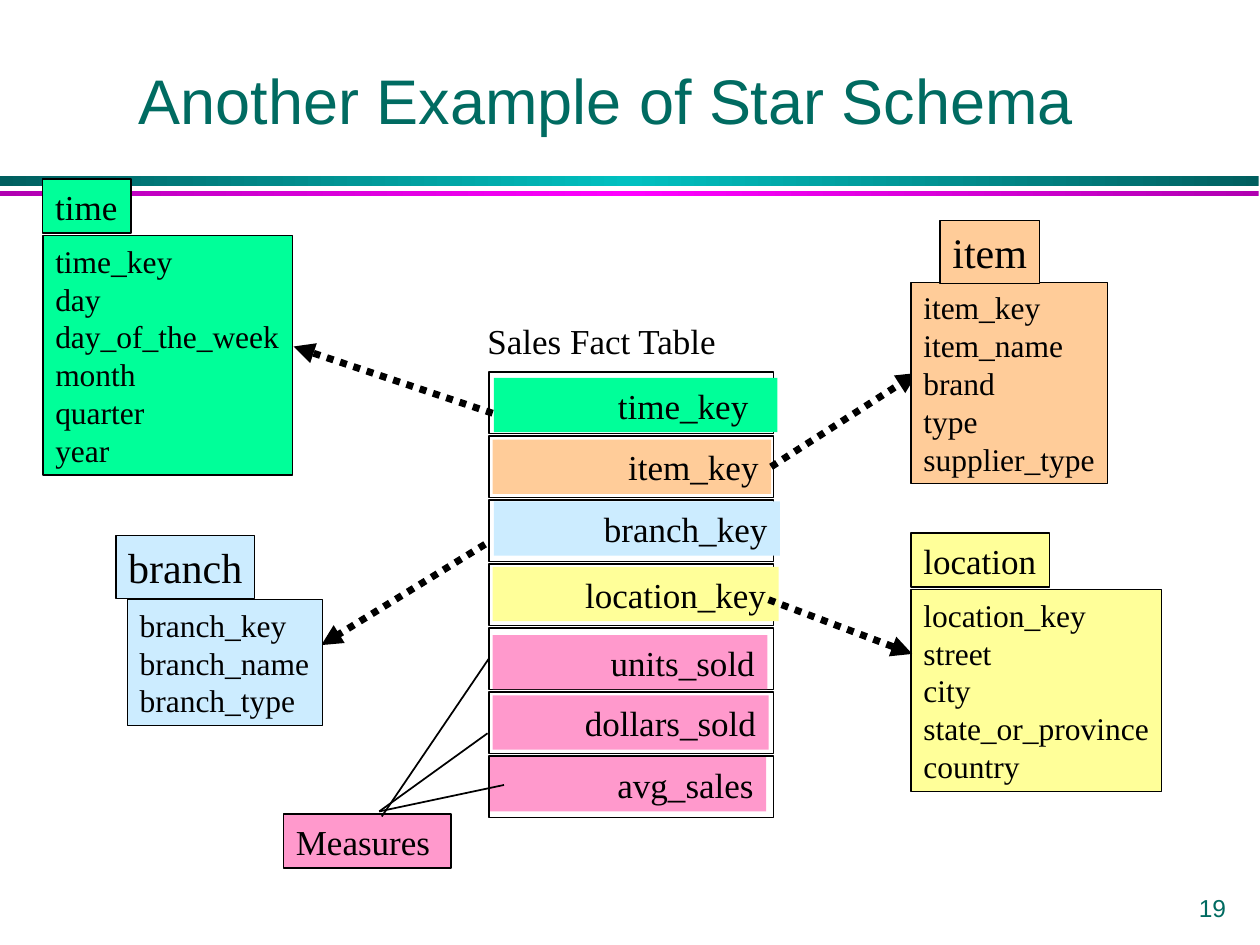
"""Build a star schema slide: a sales fact table linked to four dimension tables."""
from copy import deepcopy
from dataclasses import dataclass

from pptx import Presentation
from pptx.dml.color import RGBColor
from pptx.enum.dml import MSO_LINE
from pptx.enum.shapes import MSO_CONNECTOR, MSO_SHAPE
from pptx.enum.text import MSO_ANCHOR, PP_ALIGN
from pptx.oxml.ns import qn
from pptx.oxml.xmlchemy import OxmlElement
from pptx.util import Inches, Pt

LEFT, CENTER, RIGHT = PP_ALIGN.LEFT, PP_ALIGN.CENTER, PP_ALIGN.RIGHT
TOP, MIDDLE, BOTTOM = MSO_ANCHOR.TOP, MSO_ANCHOR.MIDDLE, MSO_ANCHOR.BOTTOM
RECTANGLE, STRAIGHT = MSO_SHAPE.RECTANGLE, MSO_CONNECTOR.STRAIGHT
DOTTED = MSO_LINE.ROUND_DOT
LEFT_SIDE, RIGHT_SIDE = 1, 3


@dataclass(frozen=True)
class Theme:
    heading_font: str = "Arial"
    body_font: str = "Times New Roman"
    heading: str = "006B61"
    ink: str = "000000"
    time: str = "00FF99"
    item: str = "FFCC99"
    branch: str = "CCECFF"
    location: str = "FFFF99"
    measure: str = "FF99CC"
    teal: tuple = ("005F5F", "00C0C0", "005F5F")
    magenta: tuple = ("B100B1", "FF00FF", "B100B1")
    title_size: int = 36
    large_size: int = 24
    label_size: int = 20
    field_size: int = 18
    number_size: int = 14
    thin: float = 0.75
    rule: float = 1
    link: float = 4


THEME = Theme()
BANDS = [(1.4, 0.08, THEME.teal), (1.52, 0.04, THEME.magenta)]

BACK_DIMENSIONS = [
    ("time", THEME.time, THEME.label_size, LEFT, (0.34, 1.42, 0.7, 0.43), (0.34, 1.87, 1.98, 1.9),
     ["time_key", "day", "day_of_the_week", "month", "quarter", "year"]),
    ("location", THEME.location, THEME.label_size, LEFT, (7.23, 4.23, 1.1, 0.43), (7.23, 4.68, 1.99, 1.6),
     ["location_key", "street", "city", "state_or_province", "country"]),
]
FRONT_DIMENSIONS = [
    ("item", THEME.item, THEME.large_size, CENTER, (7.46, 1.75, 0.79, 0.5), (7.23, 2.24, 1.56, 1.6),
     ["item_key", "item_name", "brand", "type", "supplier_type"]),
    ("branch", THEME.branch, THEME.large_size, CENTER, (0.92, 4.25, 1.1, 0.5), (1.01, 4.76, 1.55, 1),
     ["branch_key", "branch_name", "branch_type"]),
]

FACT_LEFT, FACT_TOP, FACT_WIDTH, ROW_HEIGHT, ROW_PITCH = 3.88, 2.95, 2.26, 0.49, 0.508
BAR_HEIGHT = 0.43
FACT_ROWS = [
    ("time_key", THEME.time, (3.92, 3, 2.25), 0.23),
    ("item_key", THEME.item, (3.91, 3.49, 2.21), 0.1),
    ("branch_key", THEME.branch, (3.92, 3.98, 2.27), 0.1),
    ("location_key", THEME.location, (3.91, 4.5, 2.27), 0.1),
    ("units_sold", THEME.measure, (3.91, 5.04, 2.18), 0.1),
    ("dollars_sold", THEME.measure, (3.91, 5.52, 2.19), 0.1),
    ("avg_sales", THEME.measure, (3.89, 6.01, 2.19), 0.1),
]

MEASURE_LINES = [
    ((3.03, 6.48), (3.87, 5.23), "units_sold"),
    ((3.01, 6.44), (3.87, 5.82), None),
    ((3.01, 6.44), (4, 6.23), None),
]
KEY_LINKS = [
    ((3.85, 4.32), (2.55, 5.12), None),
    ((3.91, 3.28), (2.33, 2.75), None),
    ((6.1, 4.76), (7.24, 5.19), None),
    ((6.1, 3.7), (7.28, 2.96), "item_key"),
]


def rgb(color):
    return RGBColor.from_string(color)


def write(box, lines, size, color=THEME.ink, font=THEME.body_font, align=LEFT,
          anchor=TOP, wrap=False, right_inset=0.1):
    frame = box.text_frame
    frame.word_wrap = wrap
    frame.vertical_anchor = anchor
    frame.margin_right = Inches(right_inset)
    for index, line in enumerate(lines):
        para = frame.add_paragraph() if index else frame.paragraphs[0]
        para.alignment = align
        span = para.add_run()
        span.text = line
        span.font.size = Pt(size)
        span.font.name = font
        span.font.color.rgb = rgb(color)


def add_box(page, area, fill=None, line_width=None):
    box = page.shapes.add_shape(RECTANGLE, *map(Inches, area))
    box.shadow.inherit = False
    if fill:
        box.fill.solid()
        box.fill.fore_color.rgb = rgb(fill)
    else:
        box.fill.background()
    if line_width:
        box.line.color.rgb = rgb(THEME.ink)
        box.line.width = Pt(line_width)
    else:
        box.line.fill.background()
    return box


def add_text(page, area, text, size, **style):
    write(page.shapes.add_textbox(*map(Inches, area)), [text], size, **style)


def add_band(page, top, height, colors):
    band = add_box(page, (0, top, 9.99, height))
    band.fill.gradient()
    band.fill.gradient_angle = 0
    stop_list = band.element.spPr.find(".//" + qn("a:gsLst"))
    stop_list.append(deepcopy(stop_list[-1]))
    for index, (stop, color) in enumerate(zip(band.fill.gradient_stops, colors)):
        stop.position = index / 2
        stop.color.rgb = rgb(color)


def add_dimension(page, name, color, size, align, header_area, field_area, fields):
    write(add_box(page, field_area, color, THEME.thin), fields, THEME.field_size)
    write(add_box(page, header_area, color, THEME.thin), [name], size, align=align, anchor=MIDDLE)


def add_fact_table(page):
    add_text(page, (3.77, 2.49, 2.04, 0.43), "Sales Fact Table", THEME.label_size)
    frames, bars = {}, {}
    for row, (name, color, (left, top, width), inset) in enumerate(FACT_ROWS):
        frame_area = (FACT_LEFT, FACT_TOP + row * ROW_PITCH, FACT_WIDTH, ROW_HEIGHT)
        frames[name] = add_box(page, frame_area, line_width=THEME.rule)
        bars[name] = add_box(page, (left, top, width, BAR_HEIGHT), color)
        write(bars[name], [name], THEME.label_size, align=RIGHT, wrap=True, right_inset=inset)
    return frames, bars


def add_line(page, start, end, width):
    line = page.shapes.add_connector(STRAIGHT, *map(Inches, start + end))
    line.line.color.rgb = rgb(THEME.ink)
    line.line.width = Pt(width)
    line.element.spPr.append(OxmlElement("a:effectLst"))
    return line


def add_links(page, frames, bars):
    for start, end, target in MEASURE_LINES:
        line = add_line(page, start, end, THEME.rule)
        if target:
            line.end_connect(frames[target], LEFT_SIDE)
    for start, end, source in KEY_LINKS:
        line = add_line(page, start, end, THEME.link)
        line.line.dash_style = DOTTED
        arrow = OxmlElement("a:tailEnd")
        arrow.set("type", "triangle")
        line.line._get_or_add_ln().append(arrow)
        if source:
            line.begin_connect(bars[source], RIGHT_SIDE)


def main():
    deck = Presentation()
    deck.slide_width, deck.slide_height = Inches(10), Inches(7.5)
    page = deck.slides.add_slide(deck.slide_layouts[6])
    for band in BANDS:
        add_band(page, *band)
    heading = {"color": THEME.heading, "font": THEME.heading_font, "wrap": True}
    add_text(page, (0.87, 0.41, 7.88, 0.73), "Another Example of Star Schema",
             THEME.title_size, align=CENTER, anchor=BOTTOM, **heading)
    for dimension in BACK_DIMENSIONS:
        add_dimension(page, *dimension)
    frames, bars = add_fact_table(page)
    measures = add_box(page, (2.25, 6.46, 1.33, 0.43), THEME.measure, THEME.thin)
    write(measures, ["Measures"], THEME.label_size, wrap=True)
    add_links(page, frames, bars)
    for dimension in FRONT_DIMENSIONS:
        add_dimension(page, *dimension)
    add_text(page, (9, 7.08, 0.83, 0.25), "19", THEME.number_size, align=RIGHT, anchor=MIDDLE, **heading)
    deck.save("out.pptx")


if __name__ == "__main__":
    main()
